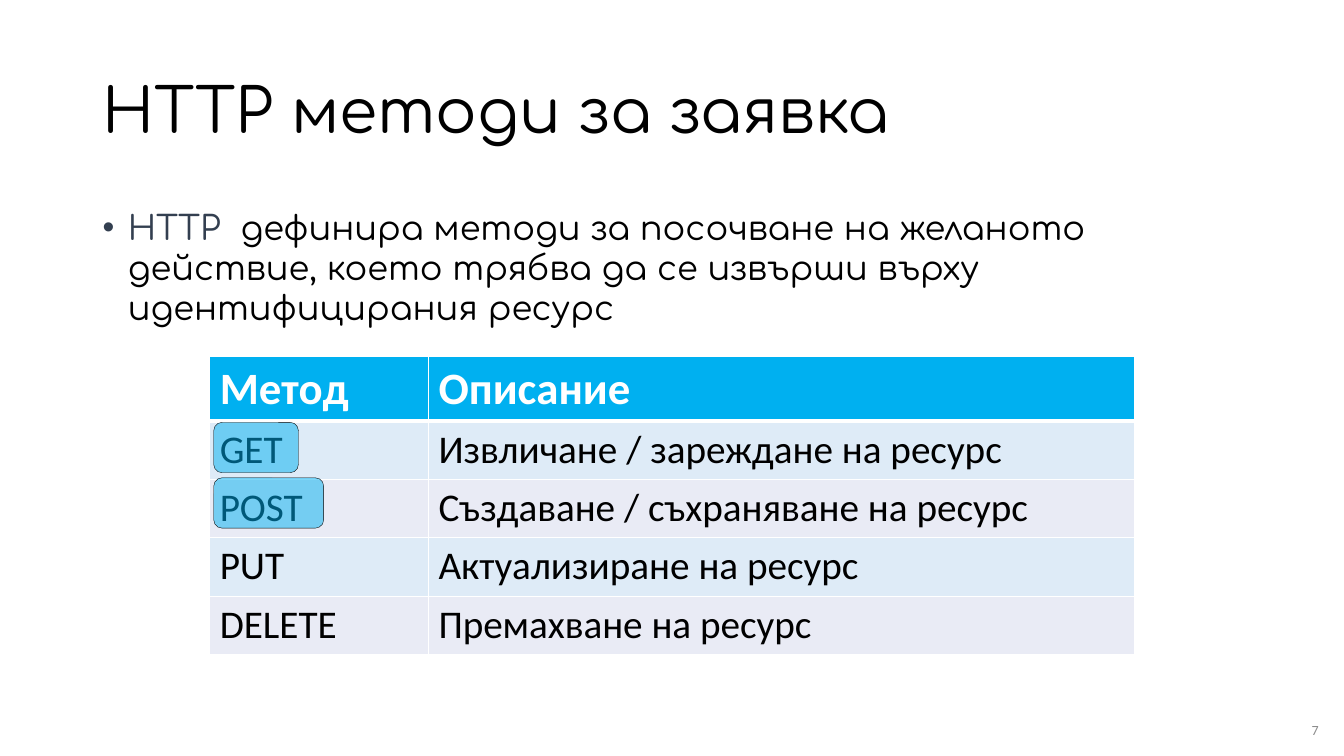
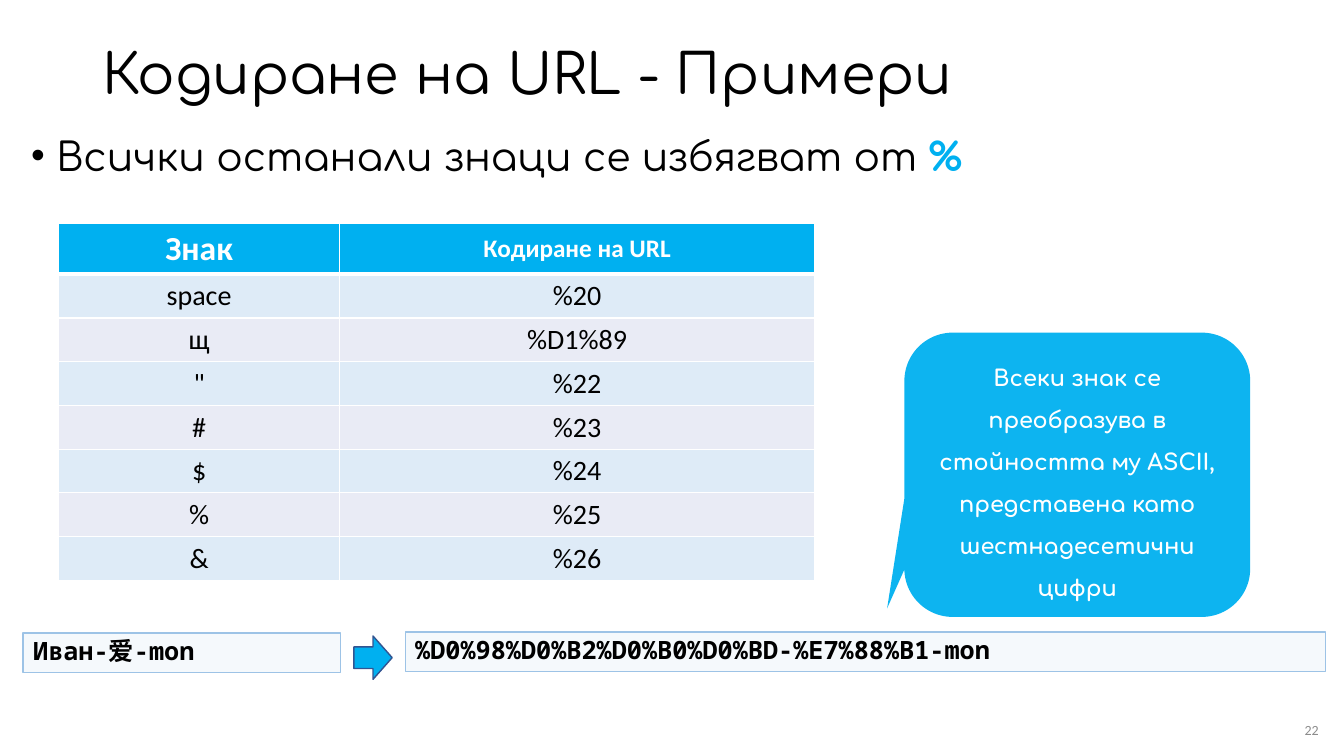
from lxml.etree import SubElement
from pptx import Presentation
from pptx.dml.color import RGBColor
from pptx.enum.shapes import MSO_SHAPE as SHAPE
from pptx.enum.text import MSO_ANCHOR as ANCHOR, MSO_AUTO_SIZE as FIT, PP_ALIGN as ALIGN
from pptx.oxml.ns import qn
from pptx.util import Inches, Pt

COLORS = {
    "white": "FFFFFF", "black": "000000", "accent": "00B0F0", "slate": "333F50",
    "gray": "8C8C8C", "row_blue": "DEEBF7", "row_gray": "E9EBF5",
    "code_fill": "BDD7EE", "code_line": "9DC3E6", "arrow_line": "325491",
}
TITLE_FONT, TABLE_FONT, CODE_FONT = "Comfortaa", "Calibri", "Noto Sans Mono"


def rgb(name):
    return RGBColor.from_string(COLORS[name])


def set_attrs(obj, values):
    for name, value in values.items():
        setattr(obj, name, value)


def add_run(p, text, size, font, color="black", bold=False):
    r = p.add_run()
    r.text = text
    set_attrs(r.font, {"size": Pt(size), "name": font, "bold": bold})
    r.font.color.rgb = rgb(color)


def add_textbox(slide, box, **frame):
    tf = slide.shapes.add_textbox(*map(Inches, box)).text_frame
    set_attrs(tf, {"word_wrap": True, **frame})
    return tf.paragraphs[0]


# Parts shared by the slides
def add_slide(prs, title, number, height, size):
    slide = prs.slides.add_slide(prs.slide_layouts[5])
    sp = slide.shapes.title
    box = {"left": 0.92, "top": 0.4, "width": 11.5, "height": height}
    set_attrs(sp, {side: Inches(value) for side, value in box.items()})
    set_attrs(sp.text_frame, {"vertical_anchor": ANCHOR.MIDDLE, "auto_size": FIT.NONE,
                              "word_wrap": True})
    p = sp.text_frame.paragraphs[0]
    set_attrs(p, {"alignment": ALIGN.LEFT, "line_spacing": 0.9})
    add_run(p, title, size, TITLE_FONT)

    margins = {f"margin_{side}": Inches(0.04) for side in ("left", "top", "right", "bottom")}
    p = add_textbox(slide, (12.65, 7.14, 0.47, 0.21), vertical_anchor=ANCHOR.MIDDLE, **margins)
    p.alignment = ALIGN.RIGHT
    add_run(p, number, 10, TABLE_FONT, "gray")
    return slide


def add_bullet(slide, box, size, runs):
    p = add_textbox(slide, box)
    pPr = p._p.get_or_add_pPr()
    pPr.set("marL", str(Inches(0.25)))
    pPr.set("indent", str(-Inches(0.25)))
    SubElement(pPr, qn("a:buFont"), typeface="Arial")
    SubElement(pPr, qn("a:buChar"), char="•")
    for text, color, bold in runs:
        add_run(p, text, size, TITLE_FONT, color, bold)


def add_shape(slide, kind, box, fill, opacity=100, line=None, width=1):
    sp = slide.shapes.add_shape(kind, *map(Inches, box))
    sp.shadow.inherit = False
    sp.fill.solid()
    sp.fill.fore_color.rgb = rgb(fill)
    if opacity < 100:
        color = sp._element.spPr.find(qn("a:solidFill")).find(qn("a:srgbClr"))
        SubElement(color, qn("a:alpha"), val=str(opacity * 1000))
    if line:
        sp.line.color.rgb = rgb(line)
        sp.line.width = Pt(width)
    else:
        sp.line.fill.background()
    return sp


def add_code(slide, box, text):
    sp = add_shape(slide, SHAPE.RECTANGLE, box, "code_fill", 15, "code_line")
    tf = sp.text_frame
    set_attrs(tf, {"word_wrap": True, "vertical_anchor": ANCHOR.TOP,
                   "auto_size": FIT.SHAPE_TO_FIT_TEXT})
    p = tf.paragraphs[0]
    set_attrs(p, {"alignment": ALIGN.LEFT, "line_spacing": 0.95})
    add_run(p, text, 18, CODE_FONT, bold=True)


# Tables
def set_borders(cell, top, bottom):
    tcPr = cell._tc.get_or_add_tcPr()
    for tag, width in (("lnL", 1), ("lnR", 1), ("lnT", top), ("lnB", bottom)):
        ln = SubElement(tcPr, qn(f"a:{tag}"), w=str(Pt(width)))
        SubElement(SubElement(ln, qn("a:solidFill")), qn("a:srgbClr"), val=COLORS["white"])


def add_table(slide, left, top, widths, heights, rows, head_sizes, size, align):
    head_height, row_height = heights
    total = head_height + row_height * (len(rows) - 1)
    table = slide.shapes.add_table(len(rows), len(widths), Inches(left), Inches(top),
                                   Inches(sum(widths)), Inches(total)).table
    for column, width in zip(table.columns, widths):
        column.width = Inches(width)
    for i, row in enumerate(rows):
        head = i == 0
        table.rows[i].height = Inches(head_height if head else row_height)
        fill = "accent" if head else ("row_gray", "row_blue")[i % 2]
        for j, text in enumerate(row):
            cell = table.cell(i, j)
            set_borders(cell, 3 if i == 1 else 1, 3 if head else 1)
            cell.fill.solid()
            cell.fill.fore_color.rgb = rgb(fill)
            cell.vertical_anchor = ANCHOR.MIDDLE if head else ANCHOR.TOP
            p = cell.text_frame.paragraphs[0]
            p.alignment = align
            add_run(p, text, head_sizes[j] if head else size, TABLE_FONT,
                    "white" if head else "black", head)


def build_methods(prs):
    slide = add_slide(prs, "HTTP методи за заявка", "7", 1.45, 44)
    add_bullet(slide, (0.92, 2, 11.5, 1.4), 24, [
        ("HTTP ", "slate", False),
        (" дефинира методи за посочване на желаното действие, което трябва да се "
         "извърши върху идентифицирания ресурс", "black", False),
    ])
    add_table(slide, 2.08, 3.54, (2.17, 7), (0.63, 0.58), [
        ("Метод", "Описание"),
        ("GET", "Извличане / зареждане на ресурс"),
        ("POST", "Създаване / съхраняване на ресурс"),
        ("PUT", "Актуализиране на ресурс"),
        ("DELETE", "Премахване на ресурс"),
    ], (32, 32), 28, ALIGN.LEFT)
    # Highlights over the two main methods
    for top, width in ((4.19, 0.84), (4.74, 1.09)):
        add_shape(slide, SHAPE.ROUNDED_RECTANGLE, (2.12, top, width, 0.5),
                  "accent", 50, "black", 0.25)


def build_encoding(prs):
    slide = add_slide(prs, "Кодиране на URL - Примери", "22", 0.71, 39.6)
    add_bullet(slide, (0.21, 1.26, 12.91, 0.7), 28, [
        ("Всички останали знаци се избягват от ", "black", False),
        ("%", "accent", True),
    ])
    # Encoding example
    add_code(slide, (0.23, 6.28, 3.15, 0.39), "Иван-爱-mon")
    add_code(slide, (4.02, 6.27, 9.13, 0.39), "%D0%98%D0%B2%D0%B0%D0%BD-%E7%88%B1-mon")
    add_shape(slide, SHAPE.RIGHT_ARROW, (3.51, 6.31, 0.38, 0.43), "accent", line="arrow_line")
    add_table(slide, 0.58, 2.22, (2.79, 4.71), (0.5, 0.43), [
        ("Знак", "Кодиране на URL"),
        ("space", "%20"),
        ("щ", "%D1%89"),
        ('"', "%22"),
        ("#", "%23"),
        ("$", "%24"),
        ("%", "%25"),
        ("&", "%26"),
    ], (24, 18), 20, ALIGN.CENTER)
    # Explanation
    callout = add_shape(slide, SHAPE.ROUNDED_RECTANGULAR_CALLOUT, (8.97, 3.3, 3.43, 2.82),
                        "accent", 95)
    for i, value in enumerate((-0.55, 0.47, 0.17)):
        callout.adjustments[i] = value
    tf = callout.text_frame
    set_attrs(tf, {"word_wrap": True, "vertical_anchor": ANCHOR.MIDDLE})
    p = tf.paragraphs[0]
    set_attrs(p, {"alignment": ALIGN.CENTER, "line_spacing": Pt(30)})
    add_run(p, "Всеки знак се преобразува в стойността му ASCII, представена като "
               "шестнадесетични цифри", 16, TITLE_FONT, "white", True)


def main():
    prs = Presentation()
    set_attrs(prs, {"slide_width": Inches(13.33), "slide_height": Inches(7.5)})
    build_methods(prs)
    build_encoding(prs)
    prs.save("out.pptx")


if __name__ == "__main__":
    main()
